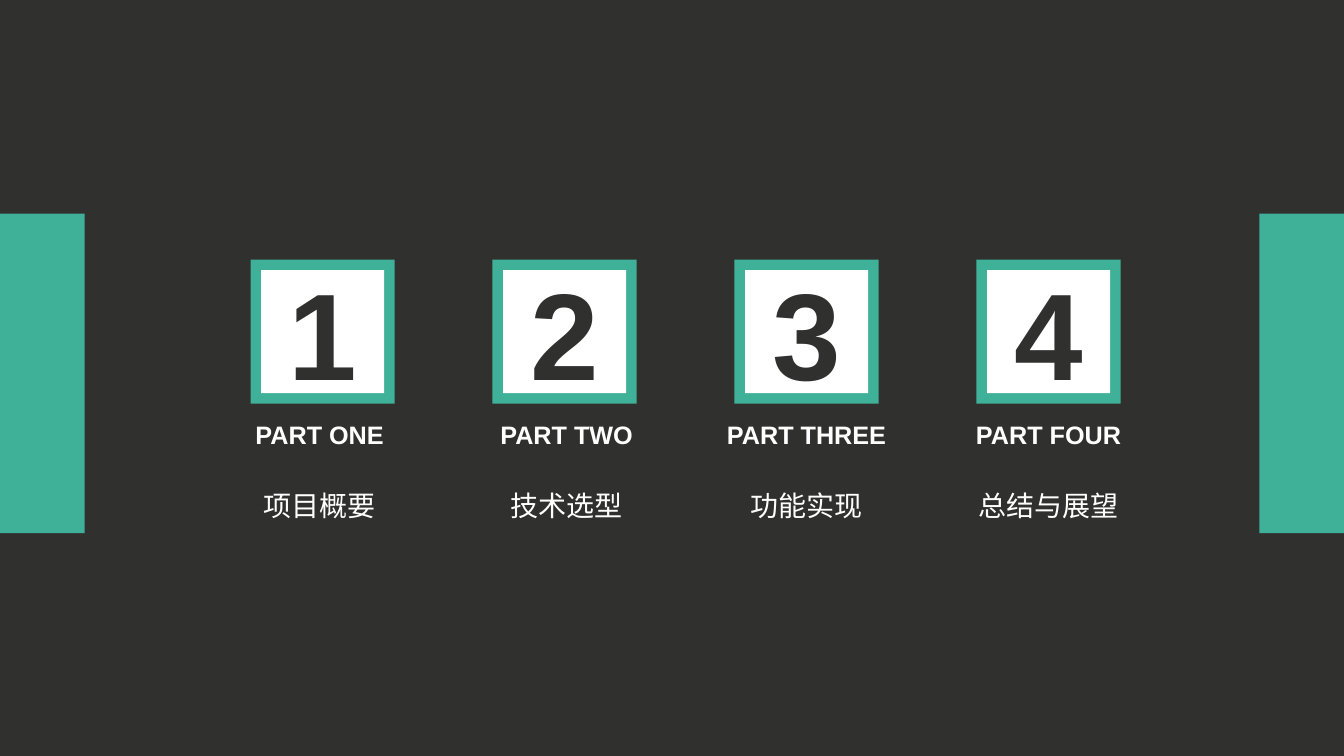
from dataclasses import dataclass

from pptx import Presentation
from pptx.dml.color import RGBColor
from pptx.enum import shapes, text
from pptx.shapes.autoshape import Shape
from pptx.slide import Slide
from pptx.util import Inches, Pt

COLORS = {"dark": "30302F", "green": "3EB198", "white": "FFFFFF"}
FONT = "Arial"
SLIDE_WIDTH, SLIDE_HEIGHT = 13.33, 7.5
BAND_WIDTH, BAND_TOP, BAND_HEIGHT = 0.84, 2.12, 3.17
FIRST_CENTER, PART_PITCH = 3.2, 2.4
FRAME_SIZE, TILE_SIZE, TILE_MIDDLE = 1.43, 1.22, 3.29


@dataclass(frozen=True)
class Part:
    label: str
    label_width: float
    topic: str
    topic_width: float
    caption_center: float


PARTS = [
    Part("PART ONE", 1.49, "项目概要", 1.32, 3.17),
    Part("PART TWO", 1.53, "技术选型", 1.32, 5.62),
    Part("PART THREE", 1.8, "功能实现", 1.32, 8.0),
    Part("PART FOUR", 1.66, "总结与展望", 1.62, 10.4),
]


def rgb(color: str) -> RGBColor:
    return RGBColor.from_string(COLORS[color])


def add_block(slide: Slide, left: float, top: float, width: float,
              height: float, color: str) -> Shape:
    block = slide.shapes.add_shape(
        shapes.MSO_SHAPE.RECTANGLE,
        Inches(left), Inches(top), Inches(width), Inches(height))
    block.shadow.inherit = False
    block.fill.solid()
    block.fill.fore_color.rgb = rgb(color)
    block.line.fill.background()
    return block


def add_square(slide: Slide, center: float, size: float, color: str) -> Shape:
    return add_block(slide, center - size / 2, TILE_MIDDLE - size / 2,
                     size, size, color)


def write(shape: Shape, wording: str, size: int, color: str,
          bold: bool = False) -> None:
    """Put one centred line of text into the shape."""
    shape.text_frame.text = wording
    line = shape.text_frame.paragraphs[0]
    line.alignment = text.PP_ALIGN.CENTER
    font = line.runs[0].font
    font.name, font.size, font.bold = FONT, Pt(size), bold
    font.color.rgb = rgb(color)


def add_caption(slide: Slide, wording: str, center: float, top: float,
                width: float, height: float, size: int,
                bold: bool = False) -> None:
    caption = slide.shapes.add_textbox(
        Inches(center - width / 2), Inches(top), Inches(width), Inches(height))
    caption.text_frame.word_wrap = False
    caption.text_frame.auto_size = text.MSO_AUTO_SIZE.SHAPE_TO_FIT_TEXT
    write(caption, wording, size, "white", bold)


def add_part(slide: Slide, index: int, part: Part) -> None:
    center = FIRST_CENTER + index * PART_PITCH
    add_square(slide, center, FRAME_SIZE, "green")
    tile = add_square(slide, center, TILE_SIZE, "white")
    tile.text_frame.vertical_anchor = text.MSO_ANCHOR.MIDDLE
    write(tile, str(index + 1), 88, "dark", bold=True)
    add_caption(slide, part.label, part.caption_center, 4.11,
                part.label_width, 0.4, 18, bold=True)
    add_caption(slide, part.topic, part.caption_center, 4.8,
                part.topic_width, 0.44, 20)


def main() -> None:
    deck = Presentation()
    deck.slide_width = Inches(SLIDE_WIDTH)
    deck.slide_height = Inches(SLIDE_HEIGHT)
    slide = deck.slides.add_slide(deck.slide_layouts[6])
    slide.background.fill.solid()
    slide.background.fill.fore_color.rgb = rgb("dark")
    for left in (0, SLIDE_WIDTH - BAND_WIDTH):
        add_block(slide, left, BAND_TOP, BAND_WIDTH, BAND_HEIGHT, "green")
    for index, part in enumerate(PARTS):
        add_part(slide, index, part)
    deck.save("out.pptx")


if __name__ == "__main__":
    main()
